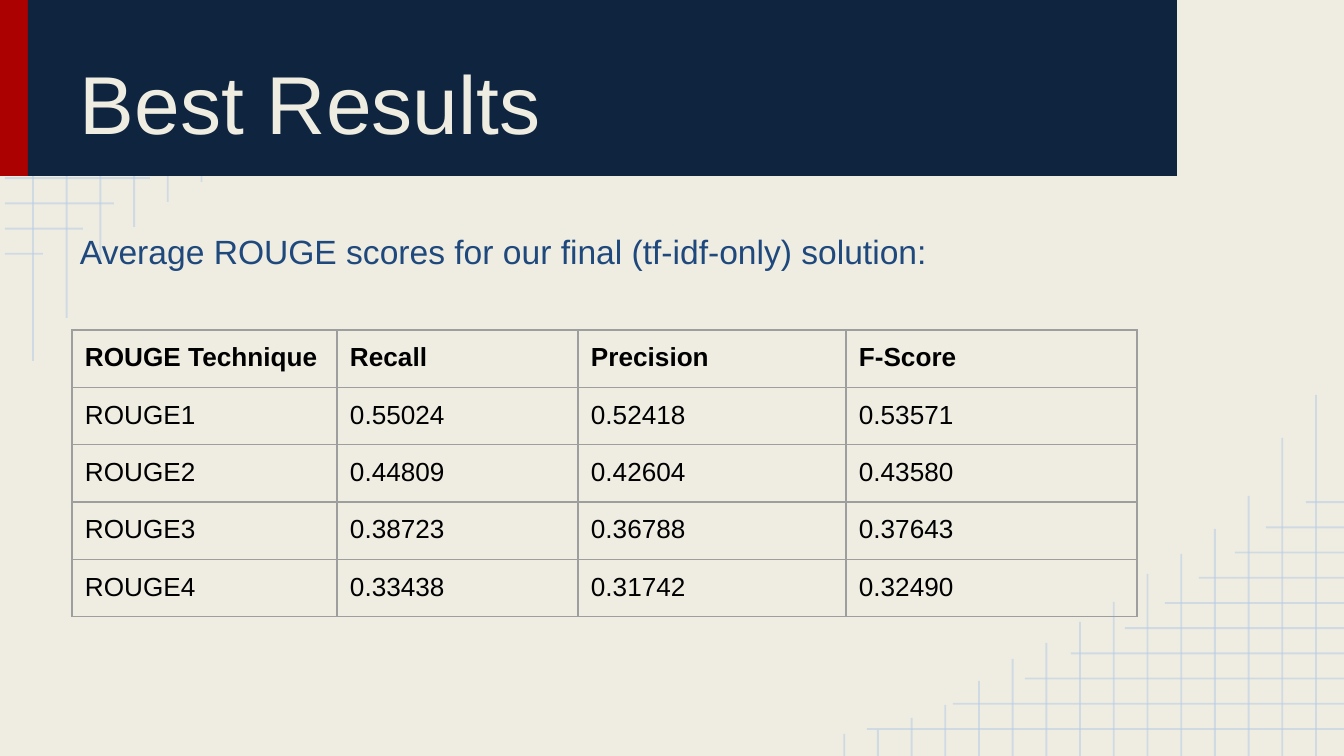
from lxml.etree import SubElement
from pptx import Presentation
from pptx.dml.color import RGBColor
from pptx.enum.shapes import MSO_CONNECTOR, MSO_SHAPE
from pptx.enum.text import MSO_ANCHOR
from pptx.oxml import parse_xml
from pptx.oxml.ns import nsdecls, qn
from pptx.util import Pt

SCALE = 914400 / 134.4
WIDTH, HEIGHT = 1344, 756
INSET = 13

CREAM = RGBColor(0xEF, 0xED, 0xE2)
NAVY = RGBColor(0x0F, 0x24, 0x3E)
RED = RGBColor(0xAB, 0x01, 0x01)
BLUE = RGBColor(0x1F, 0x49, 0x7D)
PALE = RGBColor(0xB7, 0xCC, 0xE4)
BLACK = RGBColor(0, 0, 0)
BORDER = RGBColor(0x9E, 0x9E, 0x9E)

ACROSS = [477, 391, 319, 273, 219, 179, 145, 109, 78, 38]
DOWN = [361, 318, 260, 227, 202, 182, 154, 134, 113, 97, 75, 51, 38, 26, 22]

SCORES = [
    ["ROUGE Technique", "Recall", "Precision", "F-Score"],
    ["ROUGE1", "0.55024", "0.52418", "0.53571"],
    ["ROUGE2", "0.44809", "0.42604", "0.43580"],
    ["ROUGE3", "0.38723", "0.36788", "0.37643"],
    ["ROUGE4", "0.33438", "0.31742", "0.32490"],
]


def px(*values):
    return [round(v * SCALE) for v in values]


def style(para, size, color, bold=False):
    font = para.font
    font.name, font.size, font.bold = "Arial", Pt(size), bold
    font.color.rgb = color


def add_line(slide, *ends):
    line = slide.shapes.add_connector(MSO_CONNECTOR.STRAIGHT, *px(*ends))
    line.line.color.rgb = PALE
    line.line.width = Pt(1)
    props = line._element.spPr
    color = props.find(".//" + qn("a:srgbClr"))
    SubElement(color, qn("a:alpha"), val="54000")
    SubElement(props, qn("a:effectLst"))


def add_grid(slide, left, top, sign):
    """Fading grid growing from a corner; sign -1 turns it half round."""
    for i, length in enumerate(ACROSS):
        y = top + sign * (27 + 25.2 * i)
        add_line(slide, left, y, left + sign * length, y)
    for i, length in enumerate(DOWN):
        x = left + sign * (28 + 33.7 * i)
        add_line(slide, x, top + sign * length, x, top)


def add_text(slide, text, box, size, color, anchor=MSO_ANCHOR.TOP, rise=INSET):
    frame = slide.shapes.add_textbox(*px(*box)).text_frame
    frame.word_wrap = True
    frame.vertical_anchor = anchor
    frame.margin_left, frame.margin_right, frame.margin_bottom = px(INSET, INSET, INSET)
    frame.margin_top = px(rise)[0]
    frame.text = text
    style(frame.paragraphs[0], size, color)


def add_banner(slide, left, top, width, height):
    stripe = 28
    for x, w, color in [(left, stripe, RED), (left + stripe, width - stripe, NAVY)]:
        bar = slide.shapes.add_shape(MSO_SHAPE.RECTANGLE, *px(x, top, w, height))
        bar.shadow.inherit = False
        bar.fill.solid()
        bar.fill.fore_color.rgb = color
        bar.line.fill.background()
    add_text(slide, "Best Results", (left + 67, top + 16, 1075, 149), 44, CREAM,
             MSO_ANCHOR.BOTTOM)


def add_border(cell):
    props = cell._tc.get_or_add_tcPr()
    for i, side in enumerate(["lnL", "lnR", "lnT", "lnB"]):
        props.insert(i, parse_xml(
            f'<a:{side} {nsdecls("a")} w="9525"><a:solidFill>'
            f'<a:srgbClr val="{BORDER}"/></a:solidFill></a:{side}>'))


def add_scores(slide, left, top, widths, row):
    size = px(left, top, sum(widths), row * len(SCORES))
    table = slide.shapes.add_table(len(SCORES), len(widths), *size).table
    table.first_row = table.horz_banding = False
    for col, width in zip(table.columns, widths):
        col.width = px(width)[0]
    for r, values in enumerate(SCORES):
        table.rows[r].height = px(row)[0]
        for c, value in enumerate(values):
            cell = table.cell(r, c)
            cell.text = value
            cell.fill.background()
            cell.margin_left = cell.margin_right = px(INSET)[0]
            cell.margin_top = cell.margin_bottom = px(INSET)[0]
            style(cell.text_frame.paragraphs[0], 14, BLACK, r == 0)
            add_border(cell)


def build():
    deck = Presentation()
    deck.slide_width, deck.slide_height = px(WIDTH, HEIGHT)
    slide = deck.slides.add_slide(deck.slide_layouts[6])
    slide.background.fill.solid()
    slide.background.fill.fore_color.rgb = CREAM

    # Corner grids
    add_grid(slide, 5, 0, 1)
    add_grid(slide, WIDTH, HEIGHT, -1)
    # Title banner
    add_banner(slide, 0, -1, 1177, 177)
    # Lead sentence and results
    add_text(slide, "Average ROUGE scores for our final (tf-idf-only) solution:",
             (67, 188, 1210, 534), 18, BLUE, rise=58)
    add_scores(slide, 72, 330, [265, 241, 268, 291], 56)
    deck.save("out.pptx")


build()
